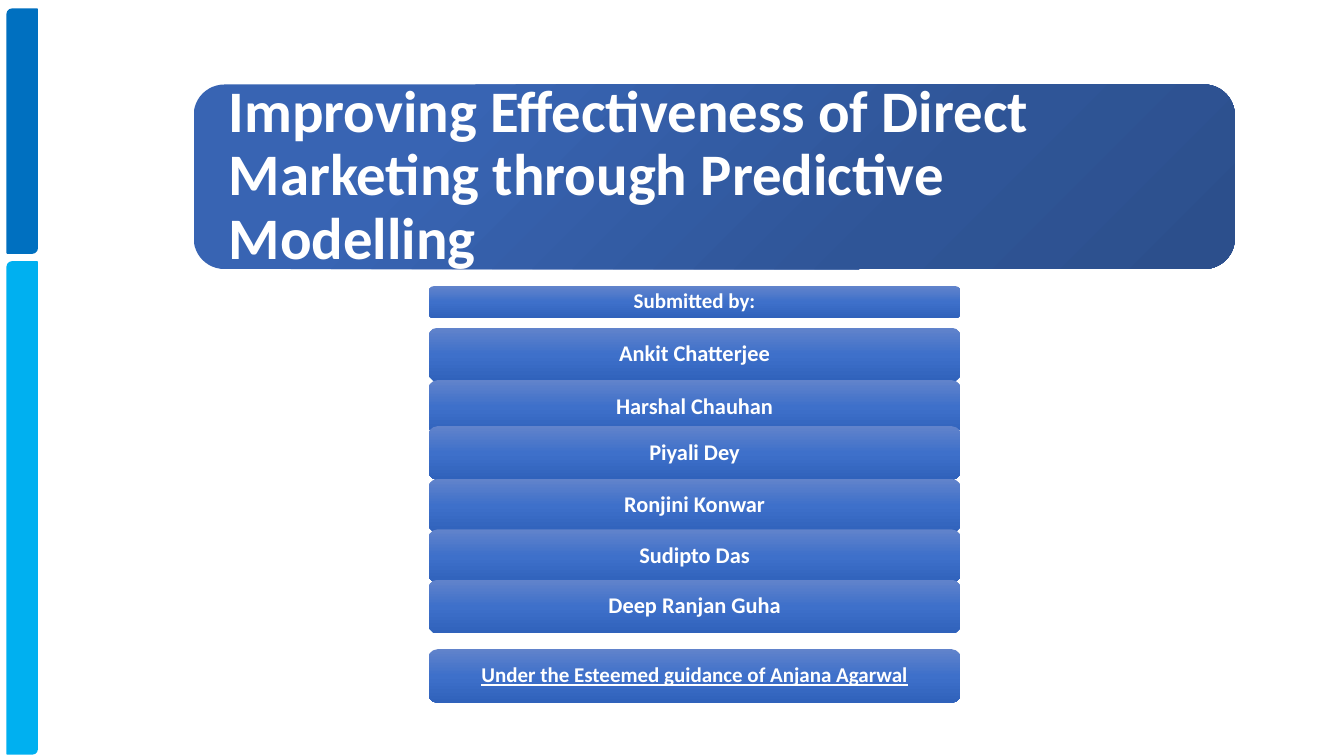
from dataclasses import dataclass

from lxml import etree
from pptx import Presentation
from pptx.dml.color import RGBColor
from pptx.enum import shapes, text
from pptx.oxml import ns
from pptx.util import Cm, Pt


@dataclass(frozen=True)
class Theme:
    font: str = "Calibri"
    white: str = "FFFFFF"
    dark: str = "0070C0"
    light: str = "00B0F0"
    navy: tuple = ((0, "3864B3"), (23, "3864B3"), (69, "2F5597"), (97, "2C4F8C"))
    blue: tuple = ((0, "6183CB"), (50, "3E70CA"), (100, "3062BB"))
    title: int = 42
    name: int = 16
    note: int = 15


THEME = Theme()
TITLE = "Improving Effectiveness of Direct Marketing through Predictive Modelling"
# Name and top edge in cm; the rows overlap slightly.
TEAM = (
    ("Ankit Chatterjee", 8.26),
    ("Harshal Chauhan", 9.58),
    ("Piyali Dey", 10.74),
    ("Ronjini Konwar", 12.07),
    ("Sudipto Das", 13.34),
    ("Deep Ranjan Guha", 14.61),
)


def add_shape(slide, kind, box):
    shape = slide.shapes.add_shape(kind, *map(Cm, box))
    shape.shadow.inherit = False
    return shape


def add_bar(slide, top, height, color):
    kind = shapes.MSO_SHAPE.ROUND_2_DIAG_RECTANGLE
    bar = add_shape(slide, kind, (0.18, top, 0.76, height))
    bar.fill.solid()
    bar.fill.fore_color.rgb = RGBColor.from_string(color)
    bar.line.color.rgb = RGBColor.from_string(color)
    bar.line.width = Pt(1)


def shade(shape, stops, angle):
    """Fill with a gradient of (percent, colour) stops, angle clockwise."""
    shape.fill.gradient()
    shape.fill.gradient_angle = 360 - angle
    stop_list = shape.element.find(".//" + ns.qn("a:gsLst"))
    stop_list.clear()
    for place, color in stops:
        stop = etree.SubElement(stop_list, ns.qn("a:gs"), pos=str(place * 1000))
        etree.SubElement(stop, ns.qn("a:srgbClr"), val=color)


def put_text(shape, words, size, align=text.PP_ALIGN.CENTER, inset=(0.25, 0.1), line=False):
    frame = shape.text_frame
    frame.word_wrap = True
    frame.vertical_anchor = text.MSO_ANCHOR.MIDDLE
    frame.margin_left = frame.margin_right = Cm(inset[0])
    frame.margin_top = frame.margin_bottom = Cm(inset[1])
    para = frame.paragraphs[0]
    para.alignment = align
    para.line_spacing = 0.9
    run = para.add_run()
    run.text = words
    font = run.font
    font.name = THEME.font
    font.size = Pt(size)
    font.bold = True
    font.underline = line
    font.color.rgb = RGBColor.from_string(THEME.white)


def add_panel(slide, box, stops, angle, words, size, **style):
    panel = add_shape(slide, shapes.MSO_SHAPE.ROUNDED_RECTANGLE, box)
    shade(panel, stops, angle)
    panel.line.fill.background()
    put_text(panel, words, size, **style)


def add_row(slide, top, words, size, height=1.35, **style):
    box = (10.8, top, 13.41, height)
    add_panel(slide, box, THEME.blue, 90, words, size, **style)


def main():
    deck = Presentation()
    deck.slide_width, deck.slide_height = Cm(33.87), Cm(19.05)
    slide = deck.slides.add_slide(deck.slide_layouts[6])

    add_bar(slide, 0.23, 6.15, THEME.dark)
    add_bar(slide, 6.6, 12.4, THEME.light)
    add_panel(slide, (4.88, 2.13, 26.24, 4.65), THEME.navy, 45, TITLE, THEME.title,
              align=text.PP_ALIGN.LEFT, inset=(0.66, 0.66))
    add_row(slide, 16.36, "Under the Esteemed guidance of Anjana Agarwal", THEME.note, line=True)
    add_row(slide, 7.21, "Submitted by:", THEME.note, height=0.81)
    for name, top in TEAM:
        add_row(slide, top, name, THEME.name)

    deck.save("out.pptx")


if __name__ == "__main__":
    main()
